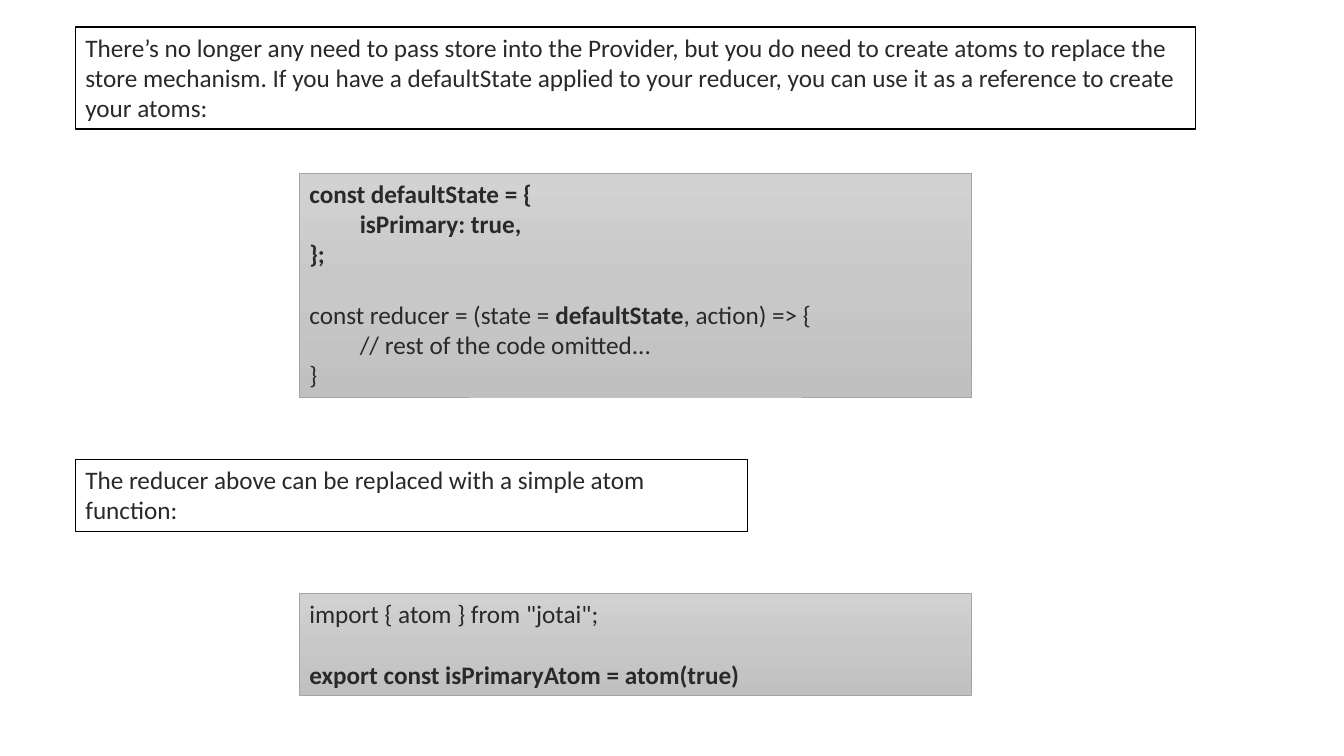
from copy import deepcopy

from pptx import Presentation
from pptx.dml.color import RGBColor
from pptx.enum.shapes import MSO_SHAPE
from pptx.enum.text import MSO_ANCHOR, MSO_AUTO_SIZE, PP_ALIGN
from pptx.util import Inches, Pt

HUES = {
    "ink": "292929", "paper": "FFFFFF", "frame": "000000", "edge": "A5A5A5",
    "top": "D2D2D2", "mid": "C8C8C8", "base": "C0C0C0",
}


class Deck:
    """Style and current slide, on a grid of 18 columns and 25 rows."""
    COLS, ROWS = 18, 25
    FONT, SIZE, LINE = "Calibri", Pt(18), Pt(21.6)

    def __init__(self):
        self.prs = Presentation()
        self.prs.slide_width = Inches(13.33)
        self.prs.slide_height = Inches(7.5)
        self.slide = self.prs.slides.add_slide(self.prs.slide_layouts[6])

    def hue(self, name):
        return RGBColor.from_string(HUES[name])

    def box(self, col, row, cols, rows, edge, width):
        dx = self.prs.slide_width / self.COLS
        dy = self.prs.slide_height / self.ROWS
        box = self.slide.shapes.add_shape(
            MSO_SHAPE.RECTANGLE, int(col * dx), int(row * dy),
            int(cols * dx), int(rows * dy))
        box.shadow.inherit = False
        box.line.color.rgb = self.hue(edge)
        box.line.width = Pt(width)
        frame = box.text_frame
        frame.word_wrap = True
        frame.auto_size = MSO_AUTO_SIZE.SHAPE_TO_FIT_TEXT
        frame.vertical_anchor = MSO_ANCHOR.TOP
        return box

    def style(self, para):
        para.alignment = PP_ALIGN.LEFT
        font = para.font
        font.name, font.size = self.FONT, self.SIZE
        font.color.rgb = self.hue("ink")

    def note(self, row, cols, rows, text):
        box = self.box(1.01, row, cols, rows, "frame", 1)
        box.fill.solid()
        box.fill.fore_color.rgb = self.hue("paper")
        para = box.text_frame.paragraphs[0]
        para.text = text
        self.style(para)

    def shade(self, box):
        fill = box.fill
        fill.gradient()
        fill.gradient_angle = 270
        first = box._element.spPr.gradFill.gsLst[0]
        first.addnext(deepcopy(first))
        names = ("top", "mid", "base")
        for stop, name, pos in zip(fill.gradient_stops, names, (0, 0.5, 1)):
            stop.color.rgb = self.hue(name)
            stop.position = pos

    def code(self, row, rows, blocks):
        """Each block is a list of (text, bold) parts, one line apart."""
        box = self.box(4.01, row, 9, rows, "edge", 0.5)
        self.shade(box)
        frame = box.text_frame
        for i, parts in enumerate(blocks):
            para = frame.add_paragraph() if i else frame.paragraphs[0]
            self.style(para)
            if i:
                para.space_before = self.LINE
            for text, bold in parts:
                for j, line in enumerate(text.split("\n")):
                    if j:
                        para.add_line_break()
                    run = para.add_run()
                    run.text = line
                    run.font.bold = bold


def main():
    deck = Deck()

    # Default state and the reducer that uses it
    deck.note(0.9, 15, 3.37, "There’s no longer any need to pass store into the Provider, but you do need to create atoms to replace the store mechanism. If you have a defaultState applied to your reducer, you can use it as a reference to create your atoms:")
    deck.code(5.73, 7.4, [
        [("const defaultState = {\n\tisPrimary: true,\n};", True)],
        [("const reducer = (state = ", False), ("defaultState", True),
         (", action) => {\n\t// rest of the code omitted...\n}", False)],
    ])

    # Atom that replaces the reducer
    deck.note(15.2, 9, 2.37, "The reducer above can be replaced with a simple atom function:")
    deck.code(19.63, 3.37, [
        [('import { atom } from "jotai";', False)],
        [("export const isPrimaryAtom = atom(true)", True)],
    ])

    deck.prs.save("out.pptx")


if __name__ == "__main__":
    main()
